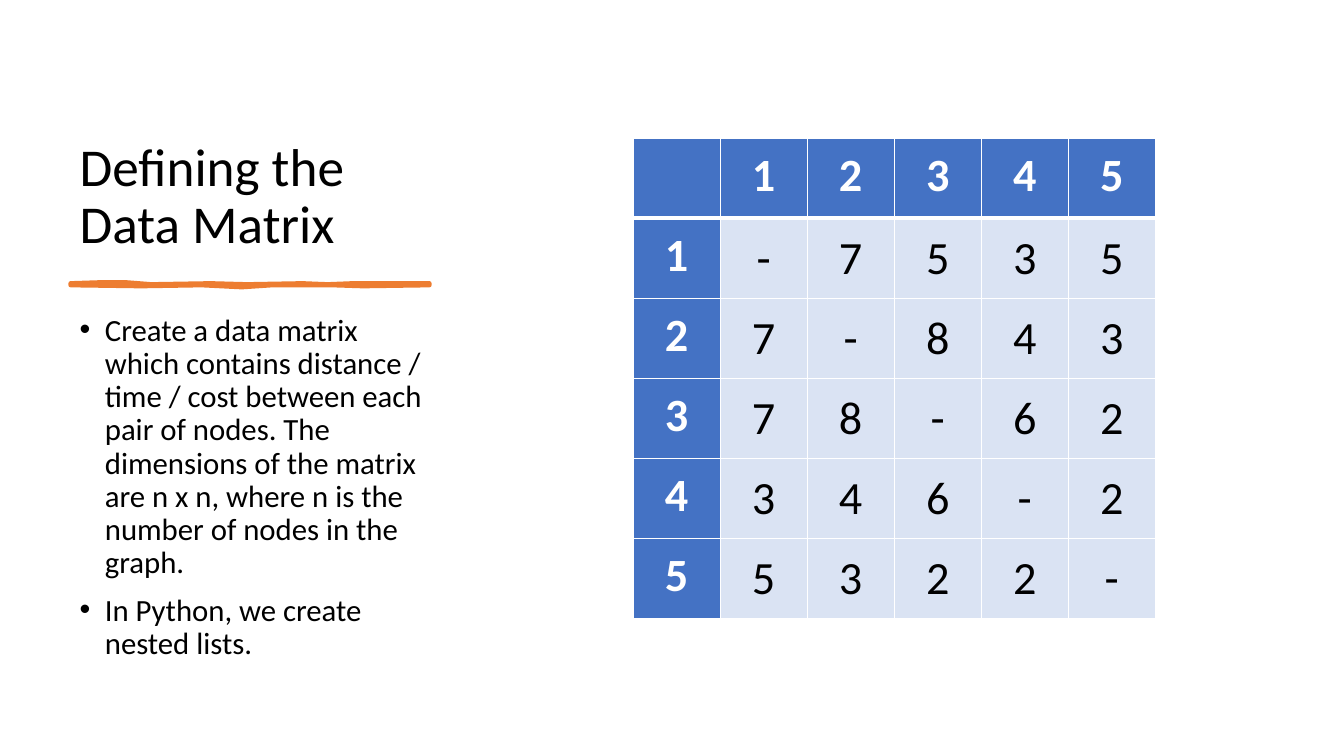
from lxml import etree
from pptx import Presentation
from pptx.dml.color import RGBColor
from pptx.enum.text import MSO_ANCHOR, MSO_AUTO_SIZE, PP_ALIGN
from pptx.oxml.ns import qn
from pptx.util import Inches, Pt

LEFT, CENTER = PP_ALIGN.LEFT, PP_ALIGN.CENTER
TOP, MIDDLE, BOTTOM = MSO_ANCHOR.TOP, MSO_ANCHOR.MIDDLE, MSO_ANCHOR.BOTTOM
NO_FIT = MSO_AUTO_SIZE.NONE

BLACK, WHITE = "000000", "FFFFFF"
BLUE, PALE_BLUE, ORANGE = "4472C4", "DAE3F3", "ED7D31"

TITLE = "Defining the Data Matrix"
BULLETS = [
    "Create a data matrix which contains distance / time / cost between each "
    "pair of nodes. The dimensions of the matrix are n x n, where n is the "
    "number of nodes in the graph.",
    "In Python, we create nested lists.",
]
MATRIX = [
    ["", "1", "2", "3", "4", "5"],
    ["1", "-", "7", "5", "3", "5"],
    ["2", "7", "-", "8", "4", "3"],
    ["3", "7", "8", "-", "6", "2"],
    ["4", "3", "4", "6", "-", "2"],
    ["5", "5", "3", "2", "2", "-"],
]
BRUSH_STROKE = [
    (0.7, 2.81), (1.0, 2.8), (1.25, 2.8), (1.5, 2.82), (2.09, 2.81),
    (2.45, 2.82), (3.0, 2.81), (3.25, 2.82), (3.5, 2.81), (4.26, 2.81),
    (4.26, 2.83), (3.6, 2.84), (3.3, 2.83), (2.7, 2.83), (2.4, 2.85),
    (2.0, 2.83), (1.4, 2.84), (0.7, 2.83),
]


def color(hex_value):
    return RGBColor.from_string(hex_value)


def set_attributes(target, values):
    for name, value in values.items():
        setattr(target, name, value)


class SlideBuilder:
    font_name = "Calibri"

    def __init__(self, presentation):
        self.slide = presentation.slides.add_slide(presentation.slide_layouts[1])

    def format_paragraph(self, paragraph, size, font_color, bold=False, **values):
        set_attributes(paragraph, values)
        for run in paragraph.runs:
            set_attributes(
                run.font, {"name": self.font_name, "size": Pt(size), "bold": bold}
            )
            run.font.color.rgb = color(font_color)

    def fill_placeholder(self, index, box, lines, size, anchor, **values):
        placeholder = self.slide.placeholders[index]
        sides = ("left", "top", "width", "height")
        set_attributes(placeholder, dict(zip(sides, map(Inches, box))))
        frame = placeholder.text_frame
        frame.text = "\n".join(lines)
        set_attributes(
            frame,
            {"word_wrap": True, "auto_size": NO_FIT, "vertical_anchor": anchor},
        )
        for paragraph in frame.paragraphs:
            self.format_paragraph(
                paragraph, size, BLACK, alignment=LEFT, line_spacing=0.9, **values
            )
        return frame.paragraphs

    def add_title(self, text, box):
        self.fill_placeholder(0, box, [text], 38, BOTTOM, space_before=Pt(0))

    def add_bullets(self, lines, box):
        for paragraph in self.fill_placeholder(
            1, box, lines, 22, TOP, space_before=Pt(10)
        ):
            properties = paragraph._p.get_or_add_pPr()
            properties.set("marL", str(Inches(0.25)))
            properties.set("indent", str(-Inches(0.25)))
            etree.SubElement(properties, qn("a:buFont"), typeface="Arial")
            etree.SubElement(properties, qn("a:buChar"), char="•")

    def add_stroke(self, points, hex_value):
        outline = [(Inches(x), Inches(y)) for x, y in points]
        builder = self.slide.shapes.build_freeform(*outline[0])
        builder.add_line_segments(outline[1:], close=True)
        shape = builder.convert_to_shape()
        shape.shadow.inherit = False
        shape.fill.solid()
        shape.fill.fore_color.rgb = color(hex_value)
        shape.line.color.rgb = color(hex_value)
        shape.line.width = Pt(3)
        etree.SubElement(shape.line._ln, qn("a:round"))

    def add_borders(self, cell, widths):
        properties = cell._tc.get_or_add_tcPr()
        for side, width in widths.items():
            line = etree.SubElement(properties, qn(f"a:ln{side}"), w=str(Pt(width)))
            fill = etree.SubElement(line, qn("a:solidFill"))
            etree.SubElement(fill, qn("a:srgbClr"), val=WHITE)

    def add_matrix(self, rows, left, top, column_width, row_height):
        row_count, column_count = len(rows), len(rows[0])
        table = self.slide.shapes.add_table(
            row_count, column_count, Inches(left), Inches(top),
            Inches(column_width * column_count), Inches(row_height * row_count),
        ).table
        for column in table.columns:
            column.width = Inches(column_width)
        for row in table.rows:
            row.height = Inches(row_height)
        for row_index, values in enumerate(rows):
            for column_index, value in enumerate(values):
                heading = row_index == 0 or column_index == 0
                cell = table.cell(row_index, column_index)
                cell.text = value
                set_attributes(cell, {
                    "margin_left": Inches(0.18),
                    "margin_right": Inches(0.18),
                    "margin_top": Inches(0.09),
                    "margin_bottom": Inches(0.09),
                    "vertical_anchor": TOP if heading else MIDDLE,
                })
                self.add_borders(cell, {
                    "L": 1,
                    "R": 1,
                    "T": 3 if row_index == 1 else 1,
                    "B": 3 if row_index == 0 else 1,
                })
                cell.fill.solid()
                cell.fill.fore_color.rgb = color(BLUE if heading else PALE_BLUE)
                self.format_paragraph(
                    cell.text_frame.paragraphs[0], 33,
                    WHITE if heading else BLACK, heading, alignment=CENTER,
                )


def main():
    presentation = Presentation()
    presentation.slide_width = Inches(13.33)
    presentation.slide_height = Inches(7.5)
    builder = SlideBuilder(presentation)
    builder.add_title(TITLE, (0.69, 0.7, 3.75, 1.88))
    builder.add_stroke(BRUSH_STROKE, ORANGE)
    builder.add_bullets(BULLETS, (0.69, 3.07, 3.75, 3.73))
    builder.add_matrix(MATRIX, 6.28, 1.37, 0.863, 0.795)
    presentation.save("out.pptx")


if __name__ == "__main__":
    main()
